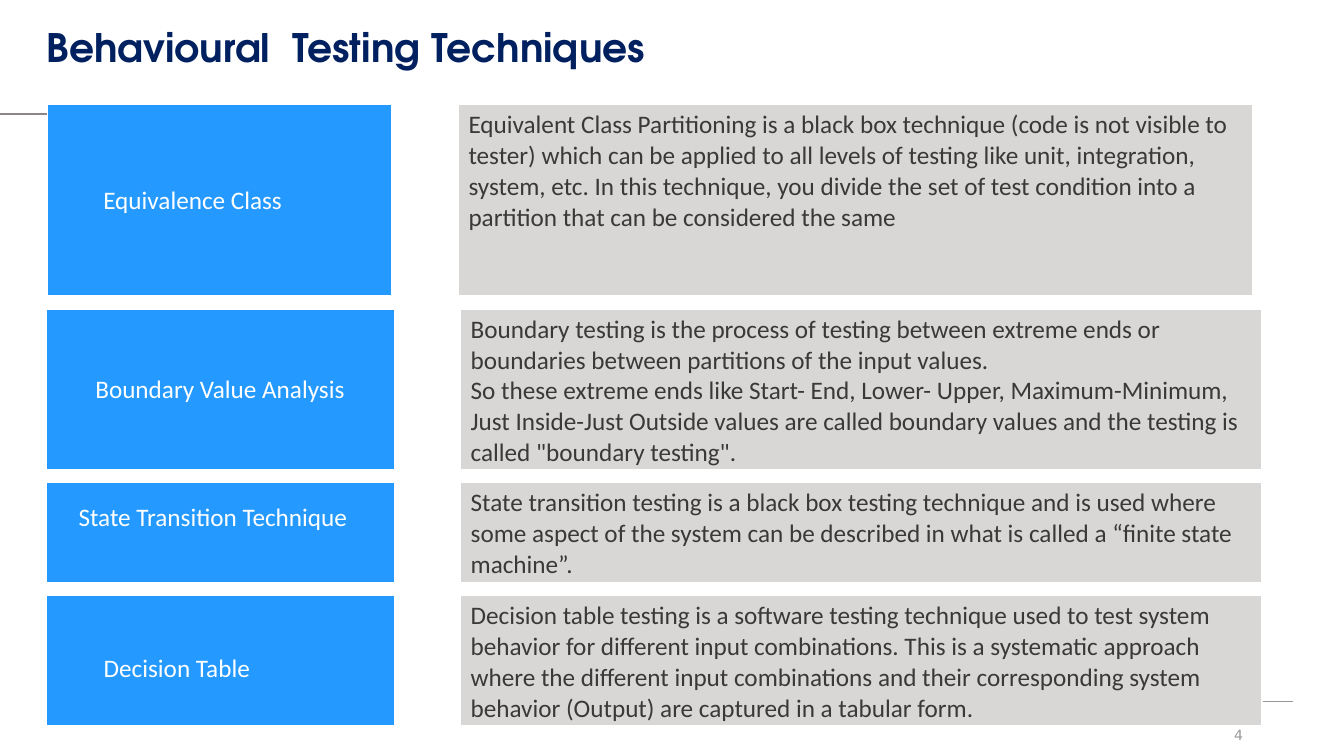
from lxml import etree
from pptx import Presentation
from pptx import util as u
from pptx.dml.color import RGBColor
from pptx.enum import shapes, text
from pptx.oxml import ns

COLORS = {
    "title": "002060", "label": "2499FF", "panel": "D9D6D6", "white": "FFFFFF",
    "body": "3B3838", "rule": "8C8585", "footer": "9B9797",
}
WIDE_COLUMNS = (248.4, 47.5, 572.4)
TECHNIQUES = [
    dict(label="Equivalence Class", left=33.8, top=74.9, height=136.8,
         columns=(246.2, 47.5, 567.4), indent=40, body_anchor=text.MSO_ANCHOR.TOP,
         body=["Equivalent Class Partitioning is a black box technique (code is not visible to tester) which can be applied to all levels of testing like unit, integration, system, etc. In this technique, you divide the set of test condition into a partition that can be considered the same"]),
    dict(label="Boundary Value Analysis", top=221, height=115.2, indent=35,
         body=["Boundary testing is the process of testing between extreme ends or boundaries between partitions of the input values.",
               "So these extreme ends like Start- End, Lower- Upper, Maximum-Minimum, Just Inside-Just Outside values are called boundary values and the testing is called \"boundary testing\"."]),
    dict(label="State Transition Technique", top=344.9, height=72, indent=23, lift=25,
         body=["State transition testing is a black box testing technique and is used where some aspect of the system can be described in what is called a “finite state machine”."]),
    dict(label="Decision Table", top=425.5, height=93.6, indent=41, spacing=1.5,
         body=["Decision table testing is a software testing technique used to test system behavior for different input combinations. This is a systematic approach where the different input combinations and their corresponding system behavior (Output) are captured in a tabular form."]),
]


def color(name):
    """Return the named colour."""
    return RGBColor.from_string(COLORS[name])


def style_font(para, name, size, color_name, bold=False):
    """Set the font of a paragraph."""
    font = para.font
    font.name, font.size, font.bold = name, u.Pt(size), bold
    font.color.rgb = color(color_name)


def set_title(slide, wording):
    """Move and format the title placeholder."""
    title = slide.shapes.title
    title.left, title.top, title.width, title.height = map(u.Pt, (33.1, 20.2, 926.9, 30.2))
    frame = title.text_frame
    frame.text = wording
    frame.margin_left = frame.margin_right = frame.margin_top = frame.margin_bottom = 0
    frame.vertical_anchor = text.MSO_ANCHOR.MIDDLE
    frame.auto_size = text.MSO_AUTO_SIZE.NONE
    para = frame.paragraphs[0]
    para.alignment, para.line_spacing = text.PP_ALIGN.LEFT, 0.9
    style_font(para, "TeX Gyre Adventor", 28, "title", True)


def add_rule(slide, left, right, y, width, color_name):
    """Draw a horizontal line."""
    line = slide.shapes.add_connector(
        shapes.MSO_CONNECTOR.STRAIGHT, u.Pt(left), u.Pt(y), u.Pt(right), u.Pt(y))
    line.line.width = u.Pt(width)
    line.line.color.rgb = color(color_name)
    etree.SubElement(line._element.spPr, ns.qn("a:effectLst"))


def add_page_number(slide, number):
    """Write the page number at the lower right."""
    box = slide.shapes.add_textbox(*map(u.Pt, (862.6, 519.1, 32.4, 12.2)))
    frame = box.text_frame
    frame.word_wrap = True
    frame.vertical_anchor = text.MSO_ANCHOR.MIDDLE
    frame.text = number
    para = frame.paragraphs[0]
    para.alignment = text.PP_ALIGN.RIGHT
    style_font(para, "DejaVu Sans", 10, "footer")


def format_cell(cell, fill_name):
    """Give a cell white borders and a solid fill."""
    properties = cell._tc.get_or_add_tcPr()
    for side, width in (("L", 1), ("R", 1), ("T", 1), ("B", 3)):
        border = etree.SubElement(properties, ns.qn("a:ln" + side), w=str(u.Pt(width)))
        fill = etree.SubElement(border, ns.qn("a:solidFill"))
        etree.SubElement(fill, ns.qn("a:srgbClr"), val=COLORS["white"])
    cell.fill.solid()
    cell.fill.fore_color.rgb = color(fill_name)


def write_cell(cell, lines, color_name, anchor=text.MSO_ANCHOR.MIDDLE, spacing=None):
    """Write paragraphs into a cell."""
    cell.vertical_anchor = anchor
    cell.text = "\n".join(lines)
    for para in cell.text_frame.paragraphs:
        para.line_spacing = spacing
        style_font(para, "Calibri", 18, color_name)


def add_technique(slide, label, body, top, height, indent, left=33.1, columns=WIDE_COLUMNS,
                  lift=3.6, spacing=None, body_anchor=text.MSO_ANCHOR.MIDDLE):
    """Add a one-row table with a technique and its description."""
    frame = slide.shapes.add_table(
        1, 3, u.Pt(left), u.Pt(top), u.Pt(sum(columns)), u.Pt(height))
    table = frame.table
    table.first_row = table.horz_banding = False
    for column, width in zip(table.columns, columns):
        column.width = u.Pt(width)
    label_cell, gap_cell, body_cell = table.rows[0].cells
    format_cell(label_cell, "label")
    format_cell(gap_cell, "white")
    format_cell(body_cell, "panel")
    label_cell.margin_left, label_cell.margin_bottom = u.Pt(indent), u.Pt(lift)
    write_cell(label_cell, [label], "white", spacing=spacing)
    write_cell(body_cell, body, "body", body_anchor)


def main():
    """Build the slide and save the deck."""
    deck = Presentation()
    deck.slide_width, deck.slide_height = u.Pt(960), u.Pt(540)
    slide = deck.slides.add_slide(deck.slide_layouts[5])
    set_title(slide, "Behavioural  Testing Techniques")
    add_rule(slide, 59, 923.8, 501.1, 0.25, "footer")
    add_rule(slide, 0, 460.8, 81.4, 1, "rule")
    add_page_number(slide, "4")
    for technique in TECHNIQUES:
        add_technique(slide, **technique)
    deck.save("out.pptx")


if __name__ == "__main__":
    main()
